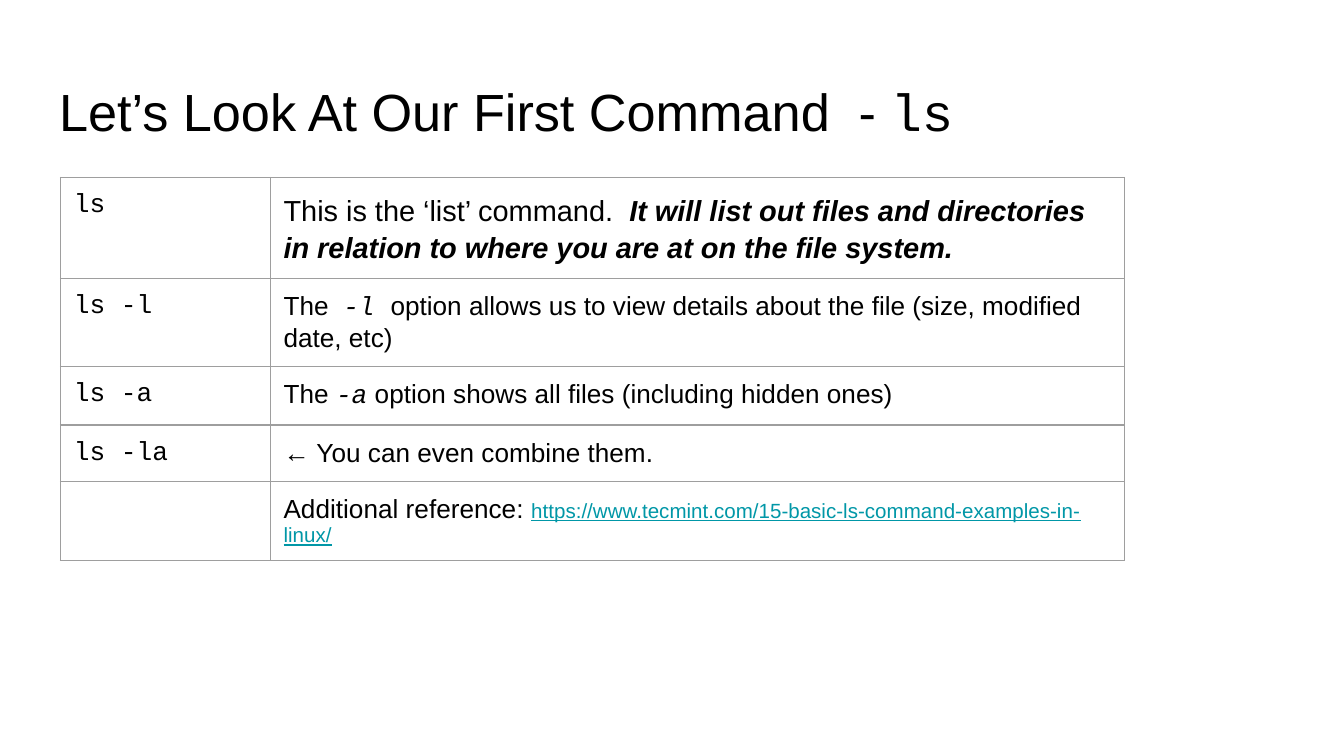
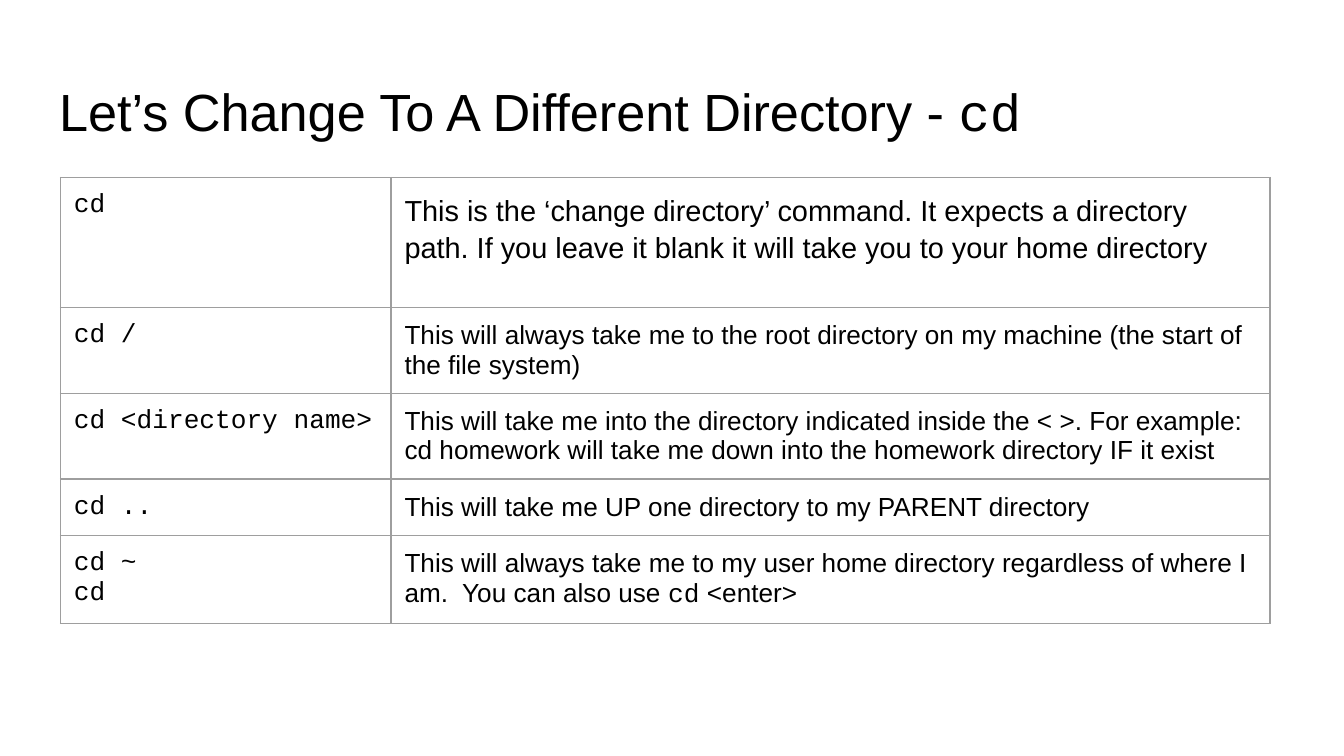
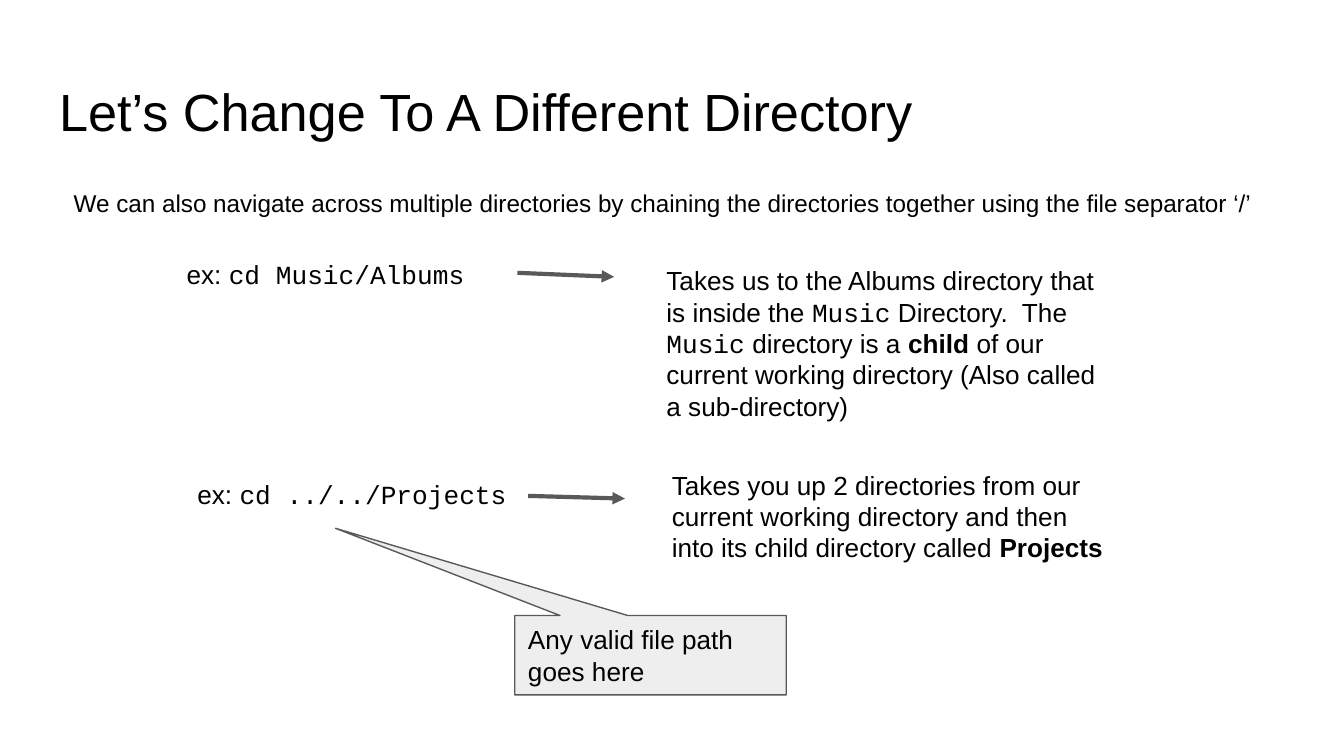
"""Build three slides that introduce the ls and cd commands."""
from lxml import etree
from pptx import Presentation
from pptx import util as u
from pptx.dml.color import RGBColor
from pptx.enum import shapes, text
from pptx.oxml.ns import qn

BLACK, LINK, BORDER, DARK, PALE = "000000", "0097A7", "9E9E9E", "595959", "EEEEEE"
BODY, CODE = "Arial", "Courier New"


def color(value):
    """Turn a hex string into a colour."""
    return RGBColor.from_string(value)


def write(frame, runs, size, spacing=None):
    """Fill a text frame with runs given as (words, style names)."""
    frame.word_wrap = True
    frame.margin_left = frame.margin_right = u.Inches(0.1)
    frame.margin_top = frame.margin_bottom = u.Inches(0.1)
    paragraph = frame.paragraphs[0]
    paragraph.alignment = text.PP_ALIGN.LEFT
    paragraph.line_spacing = spacing
    for words, style in runs:
        for number, line in enumerate(words.split("\n")):
            if number:
                paragraph.add_line_break()
            run = paragraph.add_run()
            run.text = line
            run.font.name = CODE if "code" in style else BODY
            run.font.size = u.Pt(11 if "link" in style else size)
            run.font.color.rgb = color(LINK if "link" in style else BLACK)
            run.font.bold = "bold" in style
            run.font.italic = "italic" in style
            run.font.underline = "link" in style


presentation = Presentation()
presentation.slide_width = u.Inches(10)
presentation.slide_height = u.Inches(10 * 9 / 16)

titles = [
    [("Let’s Look At Our First Command  - ", ""), ("ls", "code")],
    [("Let’s Change To A Different Directory - ", ""), ("cd", "code")],
    [("Let’s Change To A Different Directory", "")],
]
slides = []
for runs in titles:
    slide = presentation.slides.add_slide(presentation.slide_layouts[5])
    slide.background.fill.solid()
    slide.background.fill.fore_color.rgb = color("FFFFFF")
    title = slide.shapes.title
    title.left, title.top = u.Inches(0.34), u.Inches(0.49)
    title.width, title.height = u.Inches(9.32), u.Inches(0.63)
    write(title.text_frame, runs, 28)
    title.text_frame.auto_size = text.MSO_AUTO_SIZE.NONE
    title.text_frame.vertical_anchor = text.MSO_ANCHOR.TOP
    slides.append(slide)

ls_rows = [
    ("ls", 0.42, [
        ("This is the ‘list’ command.  ", ""),
        ("It will list out files and directories in relation to where you are at "
         "on the file system.", "bold italic")]),
    ("ls -l", 0.42, [
        ("The  ", ""), ("-l ", "code italic"),
        ("option allows us to view details about the file (size, modified date, etc)", "")]),
    ("ls -a", 0.42, [
        ("The ", ""), ("-a", "code italic"),
        (" option shows all files (including hidden ones)", "")]),
    ("ls -la", 0.42, [("← You can even combine them.", "")]),
    ("", 0.42, [
        ("Additional reference: ", ""),
        ("https://www.tecmint.com/15-basic-ls-command-examples-in-linux/", "link")]),
]
cd_rows = [
    ("cd", 0.97, [
        ("This is the ‘change directory’ command. It expects a directory path. "
         "If you leave it blank it will take you to your home directory", "")]),
    ("cd /", 0.42, [
        ("This will always take me to the root directory on my machine "
         "(the start of the file system)", "")]),
    ("cd <directory name>", 0.42, [
        ("This will take me into the directory indicated inside the < >. For example:\n"
         "cd homework will take me down into the homework directory IF it exist", "")]),
    ("cd ..", 0.42, [("This will take me UP one directory to my PARENT directory", "")]),
    ("cd ~\ncd", 0.42, [
        ("This will always take me to my user home directory regardless of where I am.  "
         "You can also use ", ""),
        ("cd", "code"), (" <enter>", "")]),
]
for slide, rows, widths in [(slides[0], ls_rows, (1.56, 6.36)), (slides[1], cd_rows, (2.46, 6.54))]:
    height = sum(row[1] for row in rows)
    table = slide.shapes.add_table(
        len(rows), 2, u.Inches(0.45), u.Inches(1.32), u.Inches(sum(widths)), u.Inches(height)).table
    table.first_row = table.horz_banding = False
    for column, width in zip(table.columns, widths):
        column.width = u.Inches(width)
    for index, (command, row_height, meaning) in enumerate(rows):
        table.rows[index].height = u.Inches(row_height)
        command_cell, meaning_cell = table.cell(index, 0), table.cell(index, 1)
        if command:
            write(command_cell.text_frame, [(command, "code")], 14)
        if index == 0:
            write(meaning_cell.text_frame, meaning, 15.5, 1.15)
        else:
            write(meaning_cell.text_frame, meaning, 14)
        for cell in (command_cell, meaning_cell):
            cell.margin_left = cell.margin_right = u.Inches(0.1)
            cell.margin_top = cell.margin_bottom = u.Inches(0.1)
            properties = cell._tc.get_or_add_tcPr()
            for side in ("a:lnL", "a:lnR", "a:lnT", "a:lnB"):
                border = etree.SubElement(properties, qn(side), w=str(u.Pt(0.75)))
                fill = etree.SubElement(border, qn("a:solidFill"))
                etree.SubElement(fill, qn("a:srgbClr"), val=BORDER)
            cell.fill.background()

slide = slides[2]
passages = [
    (0.45, 1.3, 9.21, 0.38, 13, [
        ("We can also navigate across multiple directories by chaining the directories "
         "together using the file separator ‘/’", "")]),
    (1.29, 1.82, 2.56, 0.33, 14, [("ex: ", ""), ("cd Music/Albums", "code")]),
    (4.86, 1.87, 3.42, 0.43, 14, [
        ("Takes us to the Albums directory that is inside the ", ""), ("Music", "code"),
        (" Directory.  The ", ""), ("Music", "code"), (" directory is a ", ""),
        ("child", "bold"),
        (" of our current working directory (Also called a sub-directory)", "")]),
    (1.37, 3.46, 2.56, 0.33, 14, [("ex: ", ""), ("cd ../../Projects", "code")]),
    (4.9, 3.39, 3.51, 1.36, 14, [
        ("Takes you up 2 directories from our current working directory and then into "
         "its child directory called ", ""),
        ("Projects", "bold")]),
]
for left, top, width, height, size, runs in passages:
    box = slide.shapes.add_textbox(
        u.Inches(left), u.Inches(top), u.Inches(width), u.Inches(height))
    write(box.text_frame, runs, size)

for ends in [(3.85, 2.03, 4.57, 2.06), (3.93, 3.69, 4.65, 3.71)]:
    arrow = slide.shapes.add_connector(
        shapes.MSO_CONNECTOR.STRAIGHT, *[u.Inches(value) for value in ends])
    arrow.line.color.rgb = color(DARK)
    arrow.line.width = u.Pt(2.25)
    etree.SubElement(arrow.line._get_or_add_ln(), qn("a:tailEnd"), type="triangle")
    etree.SubElement(arrow._element.spPr, qn("a:effectLst"))

callout = slide.shapes.add_shape(
    shapes.MSO_SHAPE.RECTANGULAR_CALLOUT,
    u.Inches(3.83), u.Inches(4.58), u.Inches(2.02), u.Inches(0.59))
callout.adjustments[0], callout.adjustments[1] = -1.16, -1.6
callout.shadow.inherit = False
callout.fill.solid()
callout.fill.fore_color.rgb = color(PALE)
callout.line.color.rgb = color(DARK)
callout.line.width = u.Pt(0.75)
write(callout.text_frame, [("Any valid file path goes here", "")], 14)
callout.text_frame.vertical_anchor = text.MSO_ANCHOR.MIDDLE

presentation.save("out.pptx")
